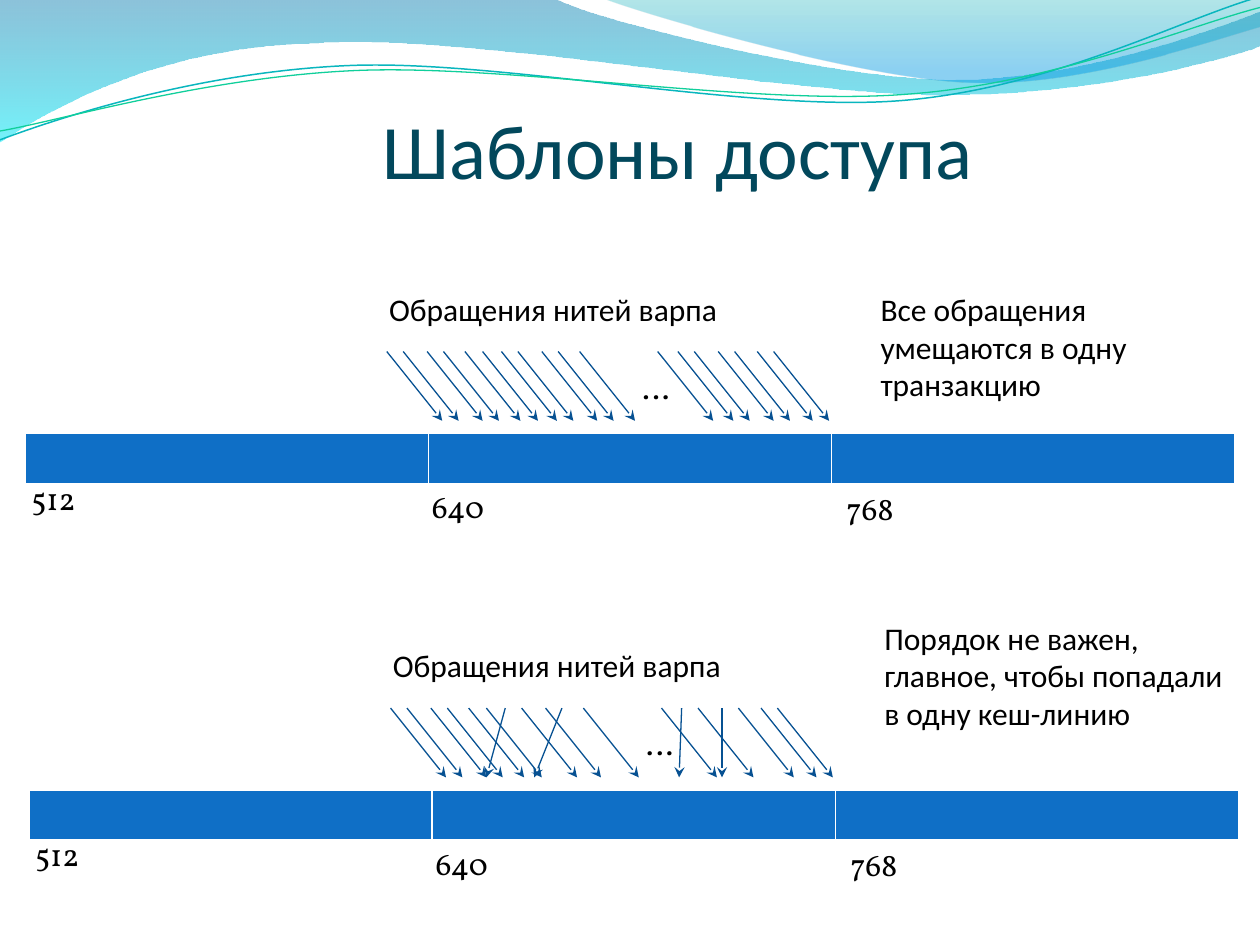
from math import cos, radians, sin

from lxml import etree
from pptx import Presentation
from pptx.dml.color import RGBColor
from pptx.enum.shapes import MSO_CONNECTOR
from pptx.enum.text import MSO_ANCHOR, MSO_AUTO_SIZE, PP_ALIGN
from pptx.oxml.ns import qn
from pptx.util import Inches, Pt

TITLE = RGBColor(0x02, 0x48, 0x5C)
BLACK = RGBColor(0x00, 0x00, 0x00)
WHITE = RGBColor(0xFF, 0xFF, 0xFF)
CELL = RGBColor(0x0F, 0x6F, 0xC6)
ARROW = RGBColor(0x07, 0x51, 0x92)
WAVE_TOP = RGBColor(0x00, 0x79, 0xAD)
WAVE_BOTTOM = RGBColor(0x00, 0xE9, 0xF7)
CREST_TOP = RGBColor(0x00, 0xAB, 0xB4)
CREST_BOTTOM = RGBColor(0x00, 0x99, 0xE4)
TEAL = RGBColor(0x09, 0xB6, 0xBE)
GREEN = RGBColor(0x10, 0xCF, 0x9B)

# Wave outlines: a pair is a straight step, six numbers are a Bézier curve
WAVE = [(0, 0), (4.4, -0.01), (4.76, 0.17, 6.64, 0.63, 7.58, 0.63),
        (8.53, 0.63, 9.58, 0.26, 10, 0.09), (10.01, 0.36),
        (9.83, 0.44, 8.7, 0.76, 7.46, 0.75), (6.22, 0.75, 3.82, 0.28, 2.57, 0.34),
        (1.29, 0.36, 0.46, 0.83, -0.01, 1.13), (0, 0)]
CREST = [(4.79, -0.01), (5.09, 0.11, 6.82, 0.62, 7.69, 0.65),
         (8.56, 0.69, 9.61, 0.32, 10, 0.21), (10, 0), (4.79, -0.01)]
TEAL_CURVE = [(0, 1.11), (0.48, 0.93, 1.58, 0.57, 2.77, 0.52),
              (3.95, 0.47, 5.93, 0.89, 7.13, 0.8), (8.33, 0.71, 9.38, 0.15, 9.98, -0.02)]
GREEN_CURVE = [(0, 1.04), (0.47, 0.96, 1.64, 0.61, 2.83, 0.56),
               (4.03, 0.51, 5.97, 0.84, 7.17, 0.75), (8.36, 0.67, 9.41, 0.21, 10, 0.06)]
TILT = 2.7

# Arrow starts of the upper panel and their usual horizontal run
STARTS = [3.07, 3.2, 3.39, 3.52, 3.69, 3.83, 3.98, 4.11, 4.3, 4.43, 4.6,
          5.22, 5.38, 5.51, 5.7, 5.83, 6.01, 6.14]
RUN = 0.44


def add_outline(shapes, steps, close=False):
    points = [(Inches(s[i]), Inches(s[i + 1])) for s in steps for i in range(0, len(s), 2)]
    builder = shapes.build_freeform(*points[0])
    builder.add_line_segments(points[1:], close=close)
    sp = builder.convert_to_shape()
    sp.shadow.inherit = False

    # Join the three points of each curved step into one Bézier segment
    lines = iter(list(sp._element.iter(qn("a:lnTo"))))
    for step in steps[1:]:
        first = next(lines)
        if len(step) == 6:
            curve = etree.Element(qn("a:cubicBezTo"))
            first.addprevious(curve)
            for line in (first, next(lines), next(lines)):
                curve.append(line[0])
                line.getparent().remove(line)
    return sp


def add_wave(shapes, steps, stops):
    sp = add_outline(shapes, steps, close=True)
    sp.line.fill.background()
    sp.fill.gradient()
    sp.fill.gradient_angle = 270
    for stop, (position, color, _) in zip(sp.fill.gradient_stops, stops):
        stop.position = position
        stop.color.rgb = color
    colors = sp._element.spPr.iter(qn("a:srgbClr"))
    for clr, (_, _, alpha) in zip(colors, stops):
        etree.SubElement(clr, qn("a:alpha")).set("val", str(alpha * 1000))


def level_step(step, cx, cy):
    """Turn the points of a step by TILT about the centre."""
    a = radians(TILT)
    level = []
    for x, y in zip(step[::2], step[1::2]):
        level += [cx + (x - cx) * cos(a) - (y - cy) * sin(a),
                  cy + (x - cx) * sin(a) + (y - cy) * cos(a)]
    return level


def add_curve(shapes, steps, center, color, width):
    sp = add_outline(shapes, [level_step(s, *center) for s in steps])
    sp.rotation = -TILT
    sp.fill.background()
    sp.line.color.rgb = color
    sp.line.width = Pt(width)


def format_run(p, font, size, color):
    r = p.runs[0]
    r.font.name = font
    r.font.size = Pt(size)
    r.font.color.rgb = color


def add_title(slide, text):
    sp = slide.shapes.title
    sp.left, sp.top, sp.width, sp.height = (Inches(v) for v in (0.88, 0.3, 9, 1.25))
    tf = sp.text_frame
    tf.text = text
    tf.vertical_anchor = MSO_ANCHOR.BOTTOM
    tf.margin_left = tf.margin_right = tf.margin_bottom = 0
    tf.margin_top = Inches(0.05)
    tf.paragraphs[0].alignment = PP_ALIGN.CENTER
    format_run(tf.paragraphs[0], "Calibri", 44, TITLE)


def add_text(shapes, text, x, y, w, h=0.4, font="Calibri"):
    sp = shapes.add_textbox(Inches(x), Inches(y), Inches(w), Inches(h))
    tf = sp.text_frame
    tf.word_wrap = True
    tf.auto_size = MSO_AUTO_SIZE.SHAPE_TO_FIT_TEXT
    tf.text = text
    format_run(tf.paragraphs[0], font, 18, BLACK)


def add_arrow(shapes, x1, y1, x2, y2):
    cxn = shapes.add_connector(MSO_CONNECTOR.STRAIGHT, Inches(x1), Inches(y1),
                               Inches(x2), Inches(y2))
    cxn.line.color.rgb = ARROW
    cxn.line.width = Pt(0.75)
    etree.SubElement(cxn.line._get_or_add_ln(), qn("a:tailEnd")).set("type", "stealth")
    etree.SubElement(cxn._element.spPr, qn("a:effectLst"))


def set_borders(cell):
    tc_pr = cell._tc.get_or_add_tcPr()
    for i, (side, width) in enumerate((("lnL", 1), ("lnR", 1), ("lnT", 1), ("lnB", 3))):
        ln = etree.Element(qn(f"a:{side}"), w=str(Pt(width)))
        fill = etree.SubElement(ln, qn("a:solidFill"))
        etree.SubElement(fill, qn("a:srgbClr")).set("val", str(WHITE))
        tc_pr.insert(i, ln)


def add_memory(shapes, x, y):
    table = shapes.add_table(1, 3, Inches(x), Inches(y), Inches(9.6), Inches(0.41)).table
    for cell in table.rows[0].cells:
        cell.fill.solid()
        cell.fill.fore_color.rgb = CELL
        set_borders(cell)


def add_panel(shapes, dx, dy, note, note_y, runs):
    """Draw one access pattern; runs maps an arrow's index to an unusual run."""
    add_text(shapes, "Обращения нитей варпа", 2.99 + dx, 2.25 + dy, 6.5)

    # Thread accesses
    group = shapes.add_group_shape().shapes
    for i, start in enumerate(STARTS):
        x = start + dx
        add_arrow(group, x, 2.79 + dy, x + runs.get(i, RUN), 3.34 + dy)
    add_text(group, "….", 5 + dx, 2.87 + dy, 0.36, font="Vollkorn")

    # Memory segments with their addresses
    add_memory(shapes, 0.2 + dx, 3.44 + dy)
    for address, x, y in (("512", 0.15, 3.75), ("640", 3.33, 3.82), ("768", 6.62, 3.83)):
        add_text(shapes, address, x + dx, y + dy, 0.63, font="Vollkorn")

    add_text(shapes, note, 6.89 + dx, note_y, 2.93, 1.01)


def main():
    prs = Presentation()
    prs.slide_width, prs.slide_height = Inches(10), Inches(7.5)
    slide = prs.slides.add_slide(prs.slide_layouts[5])
    shapes = slide.shapes

    # Wave decoration
    add_wave(shapes, WAVE, [(0, WAVE_TOP, 45), (1, WAVE_BOTTOM, 55)])
    add_wave(shapes, CREST, [(0, CREST_TOP, 30), (0.8, CREST_BOTTOM, 45)])
    group = shapes.add_group_shape().shapes
    add_curve(group, TEAL_CURVE, (4.99, 0.57), TEAL, 0.85)
    add_curve(group, GREEN_CURVE, (5, 0.59), GREEN, 0.75)

    # Title and the two access patterns
    add_title(slide, "Шаблоны доступа")
    add_panel(shapes, 0, 0, "Все обращения умещаются в одну транзакцию", 2.25, {})
    add_panel(shapes, 0.03, 2.83,
              "Порядок не важен, главное, чтобы попадали в одну кеш-линию", 4.86,
              {6: -0.15, 9: -0.22, 12: -0.02, 14: 0})

    prs.save("out.pptx")


if __name__ == "__main__":
    main()
